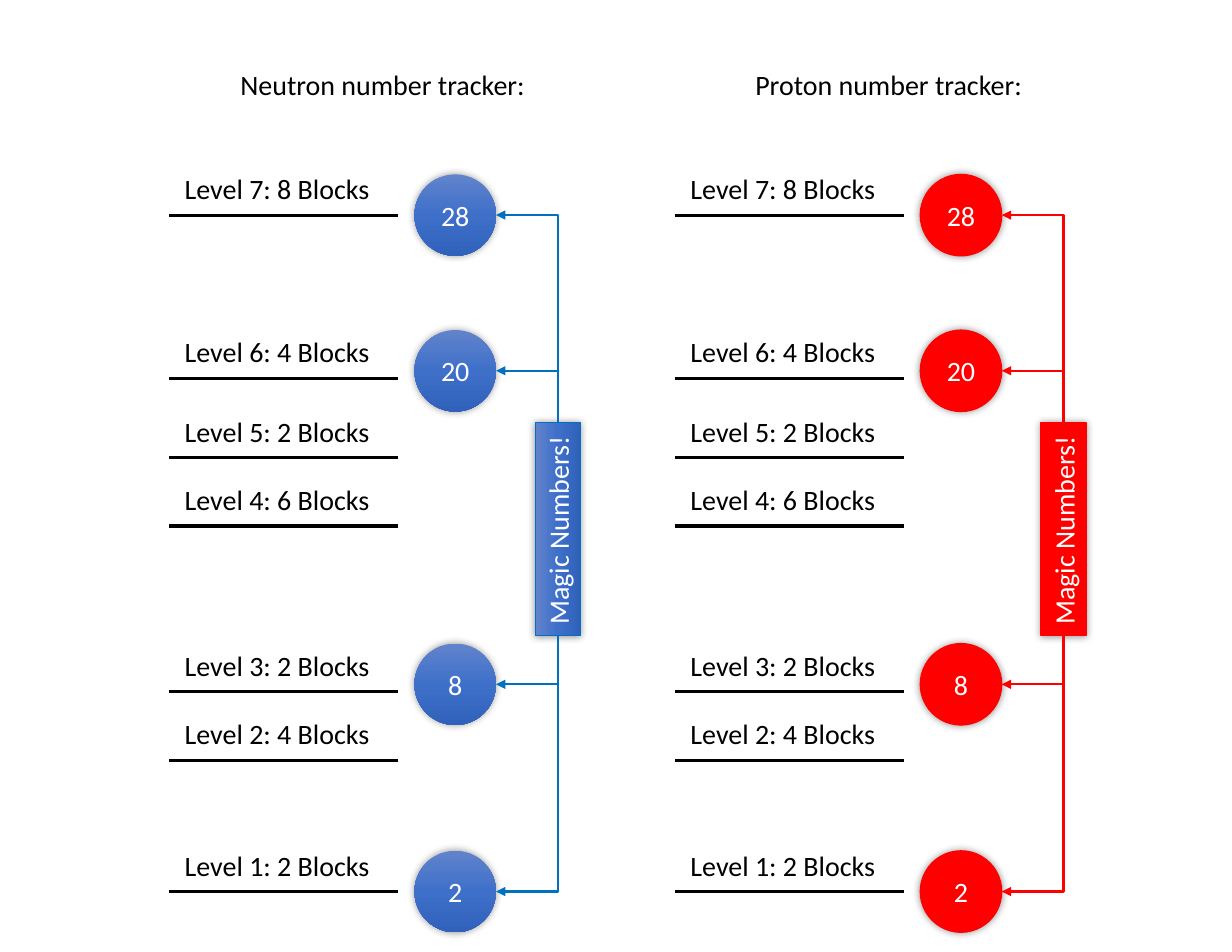
from copy import deepcopy

from lxml.etree import SubElement
from pptx import Presentation
from pptx.dml.color import RGBColor
from pptx.enum.shapes import MSO_CONNECTOR, MSO_SHAPE
from pptx.enum.text import MSO_ANCHOR, PP_ALIGN
from pptx.oxml.ns import qn
from pptx.util import Cm, Pt

BLACK = RGBColor(0x00, 0x00, 0x00)
WHITE = RGBColor(0xFF, 0xFF, 0xFF)
RED = RGBColor(0xFF, 0x00, 0x00)
BLUE = RGBColor(0x00, 0x70, 0xC0)
BLUE_GRADIENT = (
    RGBColor(0x61, 0x83, 0xCB),
    RGBColor(0x3E, 0x70, 0xCA),
    RGBColor(0x30, 0x62, 0xBB),
)

LEVELS = [
    (1, 2, 20.22), (2, 4, 17.24), (3, 2, 15.69), (4, 6, 11.93),
    (5, 2, 10.38), (6, 4, 8.58), (7, 8, 4.88),
]
MAGIC_NUMBERS = [(2, 20.22), (8, 15.52), (20, 8.41), (28, 4.88)]
TRACKER_OFFSET = 11.47
LINE_LEFT, LINE_LENGTH = 3.84, 5.19
LABEL_LEFT, LABEL_WIDTH, LABEL_HEIGHT, LABEL_RISE = 3.94, 4.75, 1.02, 1.11
CIRCLE_LEFT, CIRCLE_SIZE = 9.4, 1.85
TRUNK_X, BANNER_MIDDLE, BANNER_LENGTH = 12.65, 12, 4.84


class TrackerSlide:
    """Holds the text style and current slide and draws its elements."""

    def __init__(self, presentation, font="Calibri", size=18):
        self.font = font
        self.size = Pt(size)
        self.slide = presentation.slides.add_slide(presentation.slide_layouts[4])
        self.shapes = self.slide.shapes

    def start_group(self):
        self.shapes = self.slide.shapes.add_group_shape().shapes

    def add_text(self, shape, text, color, alignment, anchor):
        frame = shape.text_frame
        frame.word_wrap = False
        frame.vertical_anchor = anchor
        paragraph = frame.paragraphs[0]
        paragraph.alignment = alignment
        run = paragraph.add_run()
        run.text = text
        run.font.name = self.font
        run.font.size = self.size
        run.font.bold = False
        run.font.color.rgb = color

    def heading(self, index, text, left, width):
        shape = self.slide.placeholders[index]
        shape.left, shape.top = Cm(left), Cm(1.4)
        shape.width, shape.height = Cm(width), Cm(LABEL_HEIGHT)
        self.add_text(shape, text, BLACK, PP_ALIGN.CENTER, MSO_ANCHOR.TOP)
        shape.text_frame.paragraphs[0].space_before = Pt(0)

    def label(self, text, left, top):
        box = self.shapes.add_textbox(Cm(left), Cm(top), Cm(LABEL_WIDTH), Cm(LABEL_HEIGHT))
        self.add_text(box, text, BLACK, PP_ALIGN.LEFT, MSO_ANCHOR.TOP)

    def connector(self, kind, start, end, color, width):
        connector = self.shapes.add_connector(kind, *map(Cm, start + end))
        connector.line.color.rgb = color
        connector.line.width = Pt(width)
        SubElement(connector._element.spPr, qn("a:effectLst"))
        return connector

    def level_line(self, left, y):
        self.connector(MSO_CONNECTOR.STRAIGHT, (left, y), (left + LINE_LENGTH, y), BLACK, 2)

    def bent_arrow(self, start, end, color):
        (start_x, start_y), (end_x, end_y) = start, end
        middle_x, middle_y = (start_x + end_x) / 2, (start_y + end_y) / 2
        half_length, half_reach = abs(end_y - start_y) / 2, (start_x - end_x) / 2
        upward = end_y < start_y
        if upward:
            half_reach = -half_reach
        connector = self.connector(
            MSO_CONNECTOR.ELBOW,
            (middle_x - half_length, middle_y - half_reach),
            (middle_x + half_length, middle_y + half_reach),
            color, 1.5,
        )
        properties = connector._element.spPr
        properties.find(qn("a:xfrm")).set("rot", str((270 if upward else 90) * 60000))
        properties.find(qn("a:prstGeom")).set("prst", "bentConnector2")
        SubElement(properties.find(qn("a:ln")), qn("a:tailEnd"), type="triangle")

    def paint(self, shape, colors, line_color):
        if len(colors) == 1:
            shape.fill.solid()
            shape.fill.fore_color.rgb = colors[0]
        else:
            shape.fill.gradient()
            shape.fill.gradient_angle = 270
            stop_list = shape._element.spPr.find(".//" + qn("a:gsLst"))
            stop_list.append(deepcopy(stop_list[-1]))
            for position, (stop, color) in enumerate(zip(shape.fill.gradient_stops, colors)):
                stop.position = position / (len(colors) - 1)
                stop.color.rgb = color
        if line_color is None:
            shape.line.fill.background()
        else:
            shape.line.color.rgb = line_color
            shape.line.width = Pt(0.75)
        shape.shadow.inherit = False
        effects = shape._element.spPr.find(qn("a:effectLst"))
        shadow = SubElement(effects, qn("a:outerShdw"), blurRad=str(Pt(5)), dist="0", dir="0")
        shadow_color = SubElement(shadow, qn("a:srgbClr"), val=str(BLACK))
        SubElement(shadow_color, qn("a:alpha"), val="40000")

    def circle(self, text, left, middle, colors, line_color):
        shape = self.shapes.add_shape(
            MSO_SHAPE.OVAL, Cm(left), Cm(middle - CIRCLE_SIZE / 2), Cm(CIRCLE_SIZE), Cm(CIRCLE_SIZE)
        )
        self.paint(shape, colors, line_color)
        self.add_text(shape, text, WHITE, PP_ALIGN.CENTER, MSO_ANCHOR.MIDDLE)

    def banner(self, text, center, colors, line_color):
        shape = self.shapes.add_shape(
            MSO_SHAPE.RECTANGLE,
            Cm(center - BANNER_LENGTH / 2), Cm(BANNER_MIDDLE - LABEL_HEIGHT / 2),
            Cm(BANNER_LENGTH), Cm(LABEL_HEIGHT),
        )
        shape.rotation = 270
        self.paint(shape, colors, line_color)
        self.add_text(shape, text, WHITE, PP_ALIGN.LEFT, MSO_ANCHOR.TOP)

    def tracker(self, offset, colors, line_color, circle_line):
        self.start_group()
        for level, blocks, y in LEVELS:
            self.level_line(LINE_LEFT + offset, y)
            self.label(f"Level {level}: {blocks} Blocks", LABEL_LEFT + offset, y - LABEL_RISE)
        for number, y in MAGIC_NUMBERS:
            self.circle(str(number), CIRCLE_LEFT + offset, y, colors, circle_line)
        trunk = TRUNK_X + offset
        self.banner("Magic Numbers!", trunk, colors, line_color)
        for _, y in MAGIC_NUMBERS:
            side = 1 if y > BANNER_MIDDLE else -1
            start = (trunk, BANNER_MIDDLE + side * BANNER_LENGTH / 2)
            self.bent_arrow(start, (CIRCLE_LEFT + CIRCLE_SIZE + offset, y), line_color)

    def remove_empty_placeholders(self):
        for placeholder in list(self.slide.placeholders):
            if not placeholder.text_frame.text:
                placeholder._element.getparent().remove(placeholder._element)


def main():
    presentation = Presentation()
    presentation.slide_width, presentation.slide_height = Cm(27.94), Cm(21.59)
    page = TrackerSlide(presentation)
    page.heading(1, "Neutron number tracker:", 5.16, 7.04)
    page.heading(3, "Proton number tracker:", 16.84, 6.63)
    page.remove_empty_placeholders()
    page.tracker(0, BLUE_GRADIENT, BLUE, None)
    page.tracker(TRACKER_OFFSET, (RED,), RED, RED)
    presentation.save("out.pptx")


if __name__ == "__main__":
    main()
